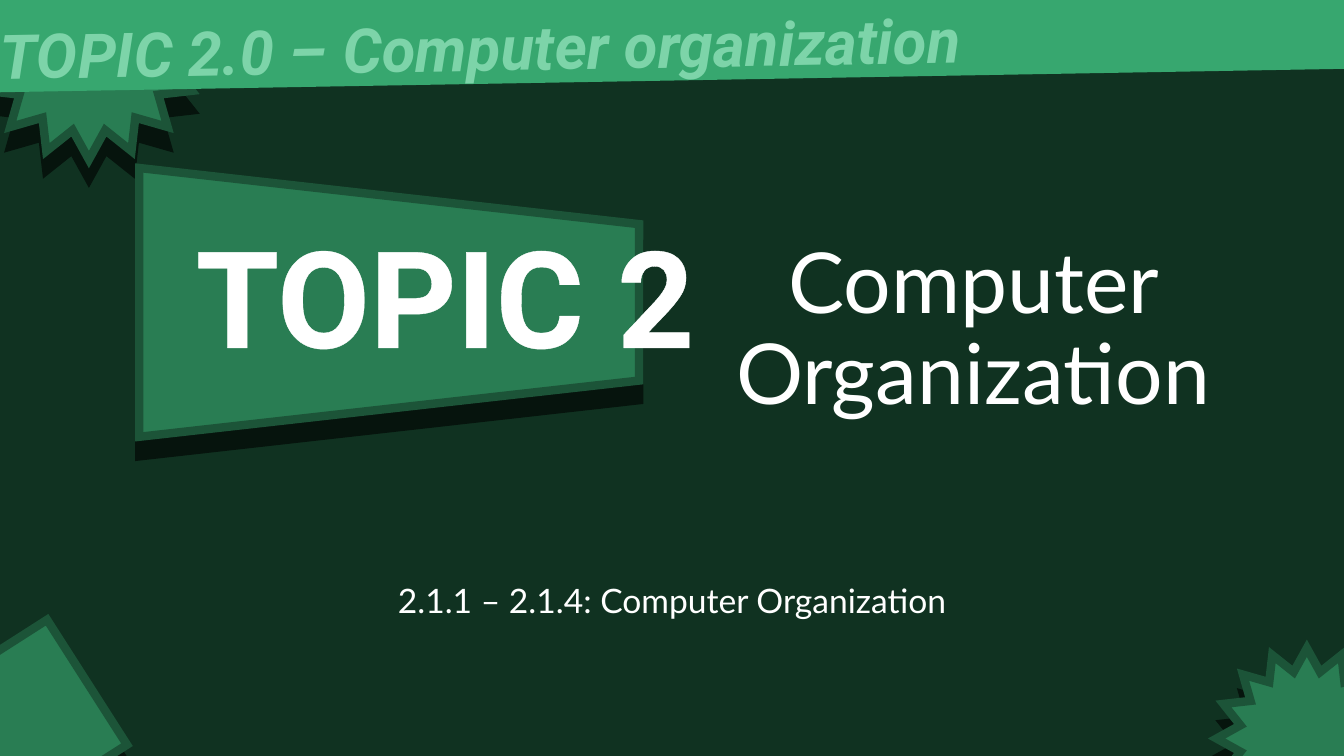
from dataclasses import dataclass

from lxml import etree
from pptx import Presentation
from pptx.dml.color import RGBColor
from pptx.enum import shapes, text
from pptx.oxml import ns
from pptx.util import Pt

NIGHT = RGBColor(0x10, 0x32, 0x21)
LEAF = RGBColor(0x29, 0x7D, 0x53)
EDGE = RGBColor(0x1C, 0x54, 0x38)
SHADE = RGBColor(0x06, 0x14, 0x0D)
BAND = RGBColor(0x37, 0xA7, 0x6F)
MINT = RGBColor(0x7D, 0xD4, 0xA9)
WHITE = RGBColor(0xFF, 0xFF, 0xFF)

SHAPE = shapes.MSO_SHAPE
CENTER = text.PP_ALIGN.CENTER


@dataclass
class Box:
    left: float
    top: float
    width: float
    height: float
    turn: float = 0

    def frame(self) -> tuple:
        return Pt(self.left), Pt(self.top), Pt(self.width), Pt(self.height)


@dataclass
class Badge:
    kind: SHAPE
    box: Box
    slant: float | None = None


BADGES = [
    Badge(SHAPE.STAR_16_POINT, Box(-16, -45, 159, 159)),
    Badge(SHAPE.RECTANGLE, Box(-41, 464.5, 112, 106, turn=327.4)),
    Badge(SHAPE.STAR_16_POINT, Box(869, 463, 129, 129)),
]
PLAQUE = Badge(SHAPE.TRAPEZOID, Box(182, 37.5, 192, 357, turn=90), slant=0.209)


def add_node(parent, tag: str, **attrs: str):
    return etree.SubElement(parent, ns.qn(tag), attrs)


def add_form(slide, kind: SHAPE, box: Box, fill: RGBColor):
    form = slide.shapes.add_shape(kind, *box.frame())
    form.rotation = box.turn
    form.shadow.inherit = False
    form.fill.solid()
    form.fill.fore_color.rgb = fill
    form.line.fill.background()
    return form


def add_badge(slide, badge: Badge) -> None:
    """Draw a green shape with a thick sharp edge and a hard shadow below."""
    form = add_form(slide, badge.kind, badge.box, LEAF)
    if badge.slant is not None:
        form.adjustments[0] = badge.slant
    form.line.color.rgb = EDGE
    form.line.width = Pt(6)
    props = form.element.spPr
    add_node(props.find(ns.qn("a:ln")), "a:miter", lim="800000")
    cast = add_node(props.find(ns.qn("a:effectLst")), "a:outerShdw",
                    dist=str(Pt(14)), dir="5400000", algn="t", rotWithShape="0")
    add_node(cast, "a:srgbClr", val=str(SHADE))


def add_text(slide, words: str, box: Box, *, size: float, font: str = "Lato",
             color: RGBColor = WHITE, bold: bool = False, slope: bool = False,
             align=CENTER, anchor=text.MSO_ANCHOR.TOP,
             lead: float = 1, before: float = 0, stroke: float = 0) -> None:
    label = slide.shapes.add_textbox(*box.frame())
    label.rotation = box.turn
    frame = label.text_frame
    frame.word_wrap = True
    frame.vertical_anchor = anchor
    para = frame.paragraphs[0]
    para.alignment = align
    para.line_spacing = lead
    para.space_before = Pt(before)
    run = para.add_run()
    run.text = words
    face = run.font
    face.name, face.size = font, Pt(size)
    face.bold, face.italic = bold, slope
    face.color.rgb = color
    if stroke:
        props = run.font._element if hasattr(run.font, "_element") else run._r.get_or_add_rPr()
        line = etree.Element(ns.qn("a:ln"), w=str(Pt(stroke)))
        add_node(add_node(line, "a:solidFill"), "a:srgbClr", val=str(color))
        props.insert(0, line)


def main() -> None:
    deck = Presentation()
    deck.slide_width, deck.slide_height = Pt(960), Pt(540)
    slide = deck.slides.add_slide(deck.slide_layouts[6])
    slide.background.fill.solid()
    slide.background.fill.fore_color.rgb = NIGHT

    for badge in BADGES:
        add_badge(slide, badge)
    add_text(slide, "Computer Organization", Box(466.5, 83, 457, 222.5),
             size=60, lead=0.9, anchor=text.MSO_ANCHOR.BOTTOM)
    add_text(slide, "2.1.1 – 2.1.4: Computer Organization",
             Box(120, 414, 720, 56), size=24, lead=0.9, before=10)

    add_form(slide, SHAPE.RECTANGLE, Box(-16, -49, 998, 106.5, turn=359), BAND)
    add_text(slide, "TOPIC 2.0 – Computer organization",
             Box(-7, -0.5, 1142.5, 60.5, turn=359), size=44, font="Roboto",
             color=MINT, bold=True, slope=True, stroke=1.5,
             align=text.PP_ALIGN.LEFT)

    add_badge(slide, PLAQUE)
    add_text(slide, "TOPIC 2", Box(62.5, 149, 511, 124), size=96,
             font="Roboto", bold=True, stroke=3)
    deck.save("out.pptx")


if __name__ == "__main__":
    main()
